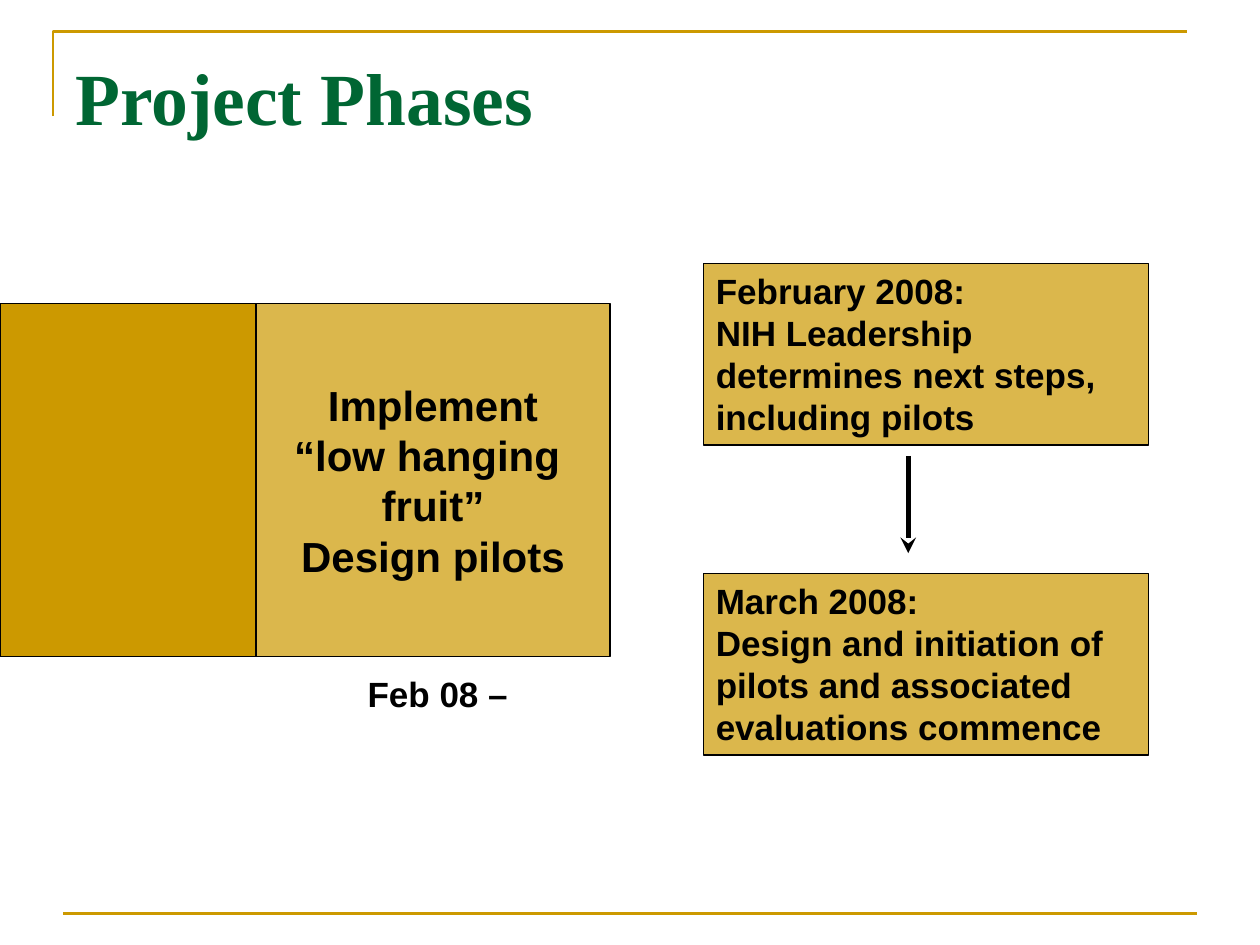
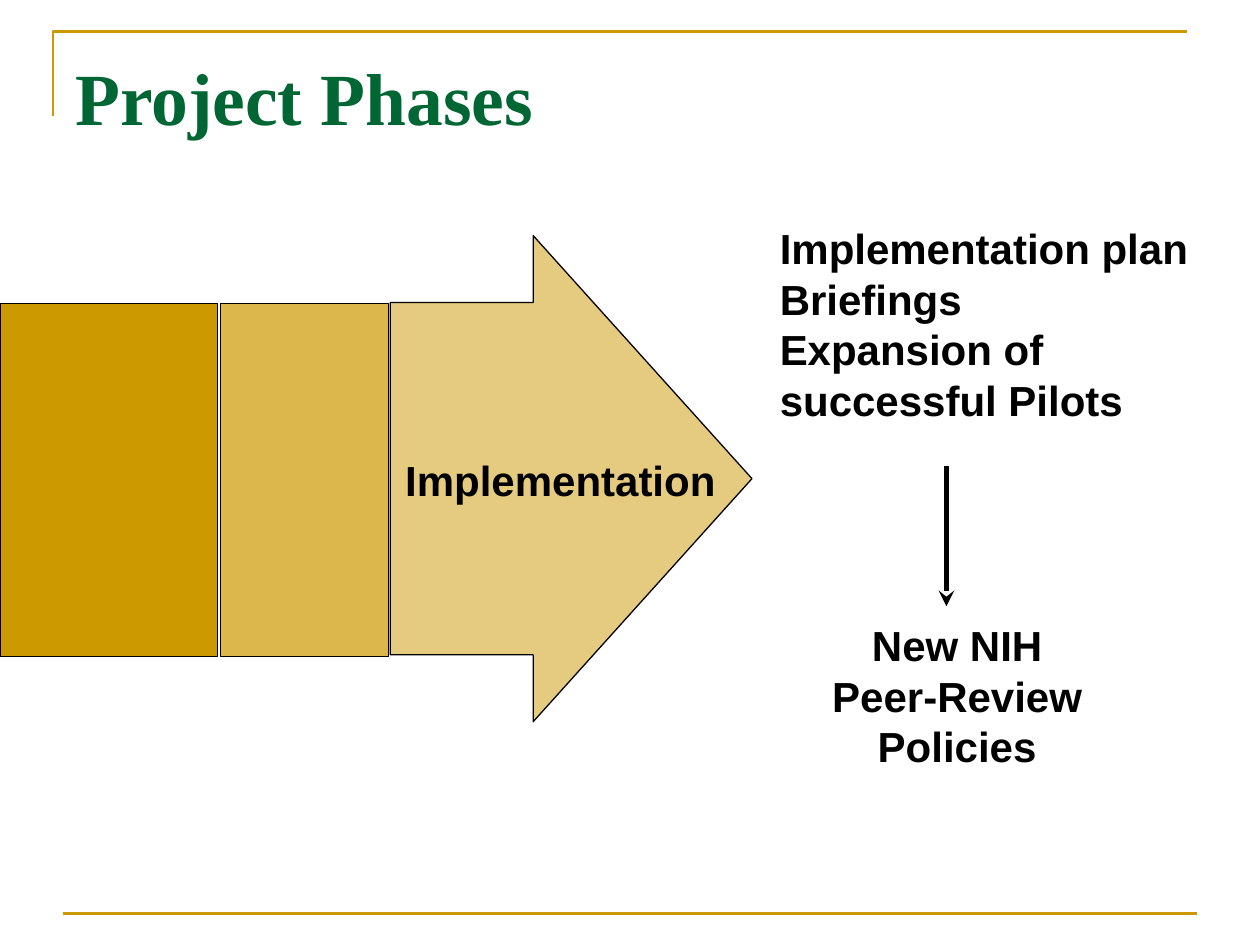
"""Build two slides on the phases of a peer-review project."""
from lxml import etree
from pptx import Presentation
from pptx.dml.color import RGBColor
from pptx.enum.shapes import MSO_CONNECTOR, MSO_SHAPE
from pptx.enum.text import MSO_ANCHOR, PP_ALIGN
from pptx.oxml.ns import qn
from pptx.util import Cm, Pt

GOLD = RGBColor(0xCC, 0x99, 0x00)
GREEN = RGBColor(0x00, 0x66, 0x33)
BLACK = RGBColor(0x00, 0x00, 0x00)
RECTANGLE = MSO_SHAPE.RECTANGLE
RIGHT_ARROW = MSO_SHAPE.RIGHT_ARROW
STRAIGHT = MSO_CONNECTOR.STRAIGHT
LEFT, CENTER = PP_ALIGN.LEFT, PP_ALIGN.CENTER
TOP, MIDDLE = MSO_ANCHOR.TOP, MSO_ANCHOR.MIDDLE
BAND_TOP, BAND_HEIGHT = 6.12, 7.11


def add_block(slide, kind, left, top, width, height, opacity):
    shape = slide.shapes.add_shape(kind, Cm(left), Cm(top), Cm(width), Cm(height))
    shape.shadow.inherit = False
    shape.fill.solid()
    shape.fill.fore_color.rgb = GOLD
    color = shape.fill._xPr.find(qn("a:solidFill"))[0]
    etree.SubElement(color, qn("a:alpha"), val=str(opacity * 1000))
    shape.line.color.rgb = BLACK
    shape.line.width = Pt(0.75)
    return shape


def write(shape, text, size, alignment=LEFT, anchor=TOP, wrap=True, font="Arial", color=BLACK):
    text_frame = shape.text_frame
    text_frame.text = text
    text_frame.word_wrap = wrap
    text_frame.vertical_anchor = anchor
    for paragraph in text_frame.paragraphs:
        paragraph.alignment = alignment
        for run in paragraph.runs:
            run.font.name = font
            run.font.size = Pt(size)
            run.font.bold = True
            run.font.color.rgb = color


presentation = Presentation()
presentation.slide_width = Cm(25.4)
presentation.slide_height = Cm(19.05)

for step_arrow in [(18.31, 9.19, 18.31, 11.15), (19.08, 9.4, 19.08, 12.22)]:
    slide = presentation.slides.add_slide(presentation.slide_layouts[6])
    builder = slide.shapes.build_freeform(Cm(1.07), Cm(2.34))
    builder.add_line_segments([(Cm(1.07), Cm(0.64)), (Cm(23.93), Cm(0.64))], close=False)
    corner = builder.convert_to_shape()
    corner.shadow.inherit = False
    corner.fill.background()
    corner.line.color.rgb = GOLD
    corner.line.width = Pt(1.5)

    title = slide.shapes.add_textbox(Cm(1.27), Cm(0.93), Cm(22.86), Cm(3))
    write(title, "Project Phases", 42, font="Times New Roman", color=GREEN)

    footer_rule = (1.27, 18.42, 24.13, 18.42)
    for ends, color, weight in [(footer_rule, GOLD, 1.5), (step_arrow, BLACK, 3)]:
        connector = slide.shapes.add_connector(STRAIGHT, *[Cm(end) for end in ends])
        connector.line.color.rgb = color
        connector.line.width = Pt(weight)
        if ends == step_arrow:
            etree.SubElement(connector.line._get_or_add_ln(), qn("a:tailEnd"), type="stealth")
        etree.SubElement(connector._element.spPr, qn("a:effectLst"))

design_slide, implementation_slide = presentation.slides

add_block(design_slide, RECTANGLE, 0, BAND_TOP, 5.16, BAND_HEIGHT, 100)
design_phase = add_block(design_slide, RECTANGLE, 5.16, BAND_TOP, 7.14, BAND_HEIGHT, 70)
write(design_phase, "Implement\n“low hanging \nfruit”\nDesign pilots", 24, CENTER, MIDDLE, wrap=False)
start_date = design_slide.shapes.add_textbox(Cm(7.16), Cm(13.44), Cm(3.73), Cm(1.12))
write(start_date, "Feb 08 –", 20, wrap=False)
milestones = [
    (5.31, "February 2008:\nNIH Leadership determines next steps, including pilots"),
    (11.56, "March 2008:\nDesign and initiation of pilots and associated evaluations commence"),
]
for top, text in milestones:
    milestone = add_block(design_slide, RECTANGLE, 14.18, top, 8.98, 3.66, 70)
    write(milestone, text, 20)

phase_arrow = add_block(implementation_slide, RIGHT_ARROW, 7.87, 4.75, 7.29, 9.8, 50)
phase_arrow.adjustments[0] = 0.725
phase_arrow.adjustments[1] = 0.605
for left, width, opacity in [(0, 4.39, 100), (4.45, 3.38, 70)]:
    add_block(implementation_slide, RECTANGLE, left, BAND_TOP, width, BAND_HEIGHT, opacity)
labels = [
    (7.92, 9.04, 6.76, 1.27, LEFT, False, "Implementation"),
    (15.47, 4.37, 9.32, 4.32, LEFT, True,
     "Implementation plan\nBriefings\nExpansion of\nsuccessful Pilots"),
    (16.41, 12.37, 5.77, 3.3, CENTER, True, "New NIH Peer-Review Policies"),
]
for left, top, width, height, alignment, wrap, text in labels:
    label = implementation_slide.shapes.add_textbox(Cm(left), Cm(top), Cm(width), Cm(height))
    write(label, text, 24, alignment, wrap=wrap)

presentation.save("out.pptx")
